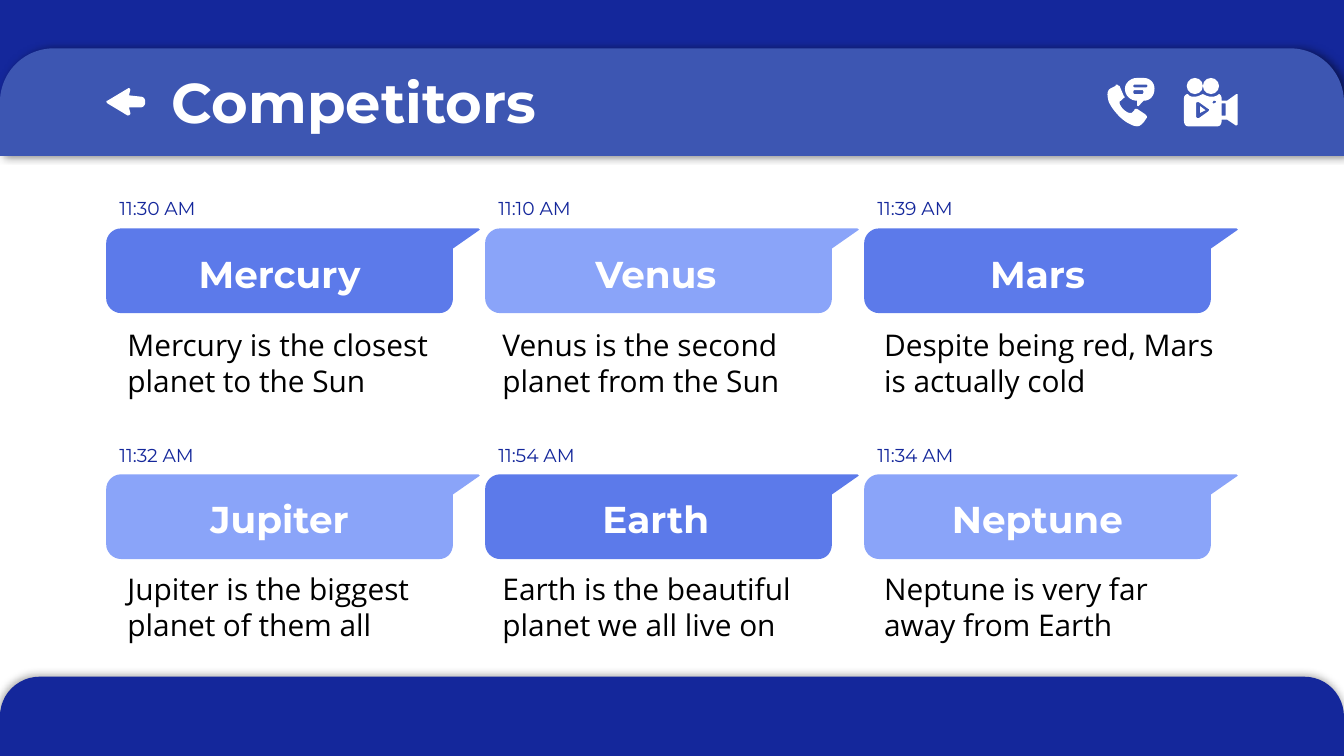
from typing import NamedTuple

from lxml import etree
from pptx import Presentation
from pptx.dml.color import RGBColor
from pptx.enum.shapes import MSO_SHAPE
from pptx.enum.text import MSO_ANCHOR, PP_ALIGN
from pptx.oxml.ns import qn
from pptx.util import Inches, Pt

LEFT, CENTER = PP_ALIGN.LEFT, PP_ALIGN.CENTER
TOP = MSO_ANCHOR.TOP
RECTANGLE, OVAL = MSO_SHAPE.RECTANGLE, MSO_SHAPE.OVAL
ROUND_TOP = MSO_SHAPE.ROUND_2_SAME_RECTANGLE

NAVY = RGBColor(0x14, 0x27, 0x9B)
HEADER_BLUE = RGBColor(0x3D, 0x56, 0xB2)
STRONG_BLUE = RGBColor(0x5C, 0x7A, 0xEA)
LIGHT_BLUE = RGBColor(0x8A, 0xA4, 0xF9)
WHITE = RGBColor(0xFF, 0xFF, 0xFF)
BLACK = RGBColor(0, 0, 0)

HEADING_FONT, BODY_FONT = "Montserrat", "Open Sans"
SLIDE_W = 10
SLIDE_H = SLIDE_W * 9 / 16
FOOTER_H = 0.59
GRID_LEFT, COLUMN_PITCH = 0.79, 2.82
NAME_LEFTS = (0.84, 3.64, 6.48)
FACT_LEFTS = (0.85, 3.64, 6.48)
CARD_PITCH, TIME_PITCH, TEXT_PITCH = 1.83, 1.84, 1.82
CURVE_STEPS = 8

# Outlines are in hundredths of an inch: (x, y) is a straight step,
# six numbers are a cubic curve (two control points and the end).
Outline = list[tuple[float, ...]]

CARD: list[Outline] = [[
    (277, 0), (278, 1), (258, 15), (258, 52), (258, 58, 254, 63, 248, 63),
    (11, 63), (5, 63, 0, 58, 0, 52), (0, 11), (0, 5, 5, 0, 11, 0)]]
BACK_ARROW: list[Outline] = [[
    (1, 10), (0, 10, 0, 11, 1, 12), (16, 21), (17, 21, 17, 21, 18, 20),
    (18, 19), (17, 15), (25, 15), (26, 15, 27, 15, 28, 14),
    (28, 14, 29, 13, 29, 12), (29, 10), (29, 8, 27, 7, 26, 7), (17, 6),
    (18, 2), (18, 1, 17, 0, 16, 1)]]
HANDSET: list[Outline] = [[
    (8, 5), (7, 5, 7, 5, 7, 6), (3, 8), (0, 10, 1, 14, 2, 18),
    (5, 24, 11, 31, 17, 34), (19, 35, 21, 36, 23, 36),
    (25, 36, 26, 35, 28, 33), (30, 30), (31, 29, 30, 28, 29, 27), (23, 23),
    (22, 23, 21, 23, 21, 24), (19, 26), (18, 26, 18, 26, 17, 26),
    (14, 25, 11, 22, 10, 19), (10, 18, 10, 17, 11, 17), (13, 15),
    (14, 15, 14, 14, 13, 13), (10, 6), (9, 6, 9, 5, 8, 5)]]
SPEECH_BUBBLE: list[Outline] = [
    [(23, 0), (18, 0, 14, 4, 14, 8), (14, 13, 18, 17, 23, 17), (23, 20),
     (23, 21, 24, 21, 24, 21), (28, 17), (33, 17, 36, 13, 36, 8),
     (36, 4, 33, 0, 28, 0)],
    [(30, 5), (31, 5, 31, 7, 30, 7), (21, 7), (20, 7, 20, 5, 21, 5)],
    [(27, 9), (28, 9, 28, 12, 27, 12), (21, 12), (20, 12, 20, 9, 21, 9)]]
CAMERA: list[Outline] = [
    [(39, 12), (32, 17), (28, 17), (28, 15), (28, 14, 27, 12, 26, 12),
     (24, 14, 22, 14, 20, 14), (18, 14, 16, 13, 14, 12),
     (12, 13, 10, 14, 8, 14), (6, 14, 4, 14, 3, 12), (1, 12, 0, 14, 0, 15),
     (0, 32), (0, 34, 1, 36, 3, 36), (25, 36), (27, 36, 28, 34, 28, 32),
     (28, 31), (32, 31), (38, 35), (39, 36, 40, 35, 40, 34), (40, 13),
     (40, 12, 40, 12, 39, 12)],
    [(22, 17), (23, 17, 24, 17, 24, 18), (24, 18, 23, 19, 22, 19),
     (21, 19, 21, 18, 22, 17)],
    [(28, 19), (31, 19), (31, 28), (28, 28)],
    [(11, 18), (18, 23), (19, 23, 19, 24, 18, 25), (11, 30),
     (9, 30, 9, 29, 9, 28), (9, 19), (9, 18, 10, 18, 11, 18)]]
PLAY_MARK: list[Outline] = [[(12, 21), (12, 26), (16, 24)]]


class Box(NamedTuple):
    left: float
    top: float
    width: float
    height: float

    def emu(self) -> list[int]:
        return [Inches(length) for length in self]


class Planet(NamedTuple):
    name: str
    time: str
    fact: str
    color: RGBColor


PLANET_ROWS = (
    (Planet("Mercury", "11:30 AM", "Mercury is the closest planet to the Sun", STRONG_BLUE),
     Planet("Venus", "11:10 AM", "Venus is the second planet from the Sun", LIGHT_BLUE),
     Planet("Mars", "11:39 AM", "Despite being red, Mars is actually cold", STRONG_BLUE)),
    (Planet("Jupiter", "11:32 AM", "Jupiter is the biggest planet of them all", LIGHT_BLUE),
     Planet("Earth", "11:54 AM", "Earth is the beautiful planet we all live on", STRONG_BLUE),
     Planet("Neptune", "11:34 AM", "Neptune is very far away from Earth", LIGHT_BLUE)),
)


def paint(shape, color: RGBColor) -> None:
    shape.shadow.inherit = False
    shape.fill.solid()
    shape.fill.fore_color.rgb = color
    shape.line.fill.background()


def add_panel(slide, kind, box: Box, color: RGBColor):
    panel = slide.shapes.add_shape(kind, *box.emu())
    paint(panel, color)
    return panel


def add_shadow(shape, opacity: int, direction: int) -> None:
    """Cast a soft black shadow; opacity in percent, direction in degrees."""
    effects = shape._element.spPr.find(qn("a:effectLst"))
    shadow = etree.SubElement(
        effects, qn("a:outerShdw"), blurRad=str(Pt(4.5)), dist=str(Pt(1.5)),
        dir=str(direction * 60000), algn="bl", rotWithShape="0")
    tint = etree.SubElement(shadow, qn("a:srgbClr"), val="000000")
    etree.SubElement(tint, qn("a:alpha"), val=str(opacity * 1000))


def flatten(outline: Outline) -> list[tuple[int, int]]:
    """Turn straight steps and cubic curves into points in EMU."""
    points = [outline[0]]
    for step in outline[1:]:
        if len(step) == 2:
            points.append(step)
            continue
        nodes = (points[-1], step[:2], step[2:4], step[4:])
        for index in range(1, CURVE_STEPS + 1):
            t = index / CURVE_STEPS
            weights = ((1 - t) ** 3, 3 * t * (1 - t) ** 2, 3 * t * t * (1 - t), t ** 3)
            points.append(tuple(
                sum(w * node[axis] for w, node in zip(weights, nodes)) for axis in (0, 1)))
    return [(Inches(x / 100), Inches(y / 100)) for x, y in points]


def add_outline(slide, outlines: list[Outline], left: float, top: float,
                color: RGBColor) -> None:
    """Draw the first outline with the others cut out of it."""
    edge, *holes = [flatten(outline) for outline in outlines]
    builder = slide.shapes.build_freeform(*edge[0])
    builder.add_line_segments(edge[1:])
    for hole in holes:
        builder.move_to(*hole[0])
        builder.add_line_segments(hole[1:])
    paint(builder.convert_to_shape(Inches(left), Inches(top)), color)


def add_text(slide, text: str, box: Box, *, size: float, color: RGBColor,
             font: str = HEADING_FONT, bold: bool = False, align=LEFT) -> None:
    frame = slide.shapes.add_textbox(*box.emu()).text_frame
    frame.word_wrap = True
    frame.vertical_anchor = TOP
    frame.margin_left = frame.margin_right = Inches(0.1)
    frame.margin_top = frame.margin_bottom = Inches(0.1)
    paragraph = frame.paragraphs[0]
    paragraph.alignment = align
    run = paragraph.add_run()
    run.text = text
    run.font.name, run.font.size, run.font.bold = font, Pt(size), bold
    run.font.color.rgb = color


def add_planet(slide, planet: Planet, row: int, column: int) -> None:
    left = GRID_LEFT + column * COLUMN_PITCH
    text_shift = row * TEXT_PITCH
    add_outline(slide, CARD, left, 1.7 + row * CARD_PITCH, planet.color)
    add_text(slide, planet.time, Box(left, 1.38 + row * TIME_PITCH, 0.85, 0.32),
             size=10, color=NAVY)
    add_text(slide, planet.name, Box(NAME_LEFTS[column], 1.77 + text_shift, 2.48, 0.53),
             size=20, color=WHITE, bold=True, align=CENTER)
    add_text(slide, planet.fact, Box(FACT_LEFTS[column], 2.33 + text_shift, 2.72, 0.76),
             size=16, color=BLACK, font=BODY_FONT)


def add_header(slide) -> None:
    add_panel(slide, RECTANGLE, Box(0, 0, SLIDE_W, 1.01), NAVY)
    header = add_panel(slide, ROUND_TOP, Box(0, 0.36, SLIDE_W, 0.8), HEADER_BLUE)
    header.adjustments[0] = 0.5
    add_shadow(header, opacity=50, direction=0)
    add_text(slide, "Competitors", Box(1.18, 0.4, 8.03, 0.63),
             size=30, color=WHITE, bold=True)
    add_outline(slide, BACK_ARROW, 0.79, 0.65, WHITE)
    for icon, left in ((HANDSET, 8.23), (SPEECH_BUBBLE, 8.23),
                       (CAMERA, 8.81), (PLAY_MARK, 8.81)):
        add_outline(slide, icon, left, 0.58, WHITE)
    for reel_left in (8.83, 8.95):
        add_panel(slide, OVAL, Box(reel_left, 0.58, 0.12, 0.12), WHITE)


def main() -> None:
    deck = Presentation()
    deck.slide_width, deck.slide_height = Inches(SLIDE_W), Inches(SLIDE_H)
    slide = deck.slides.add_slide(deck.slide_layouts[6])
    footer = add_panel(slide, ROUND_TOP,
                       Box(0, SLIDE_H - FOOTER_H, SLIDE_W, FOOTER_H), NAVY)
    footer.adjustments[0] = 0.5
    add_shadow(footer, opacity=32, direction=237)
    add_header(slide)
    for row, planets in enumerate(PLANET_ROWS):
        for column, planet in enumerate(planets):
            add_planet(slide, planet, row, column)
    deck.save("out.pptx")


if __name__ == "__main__":
    main()
